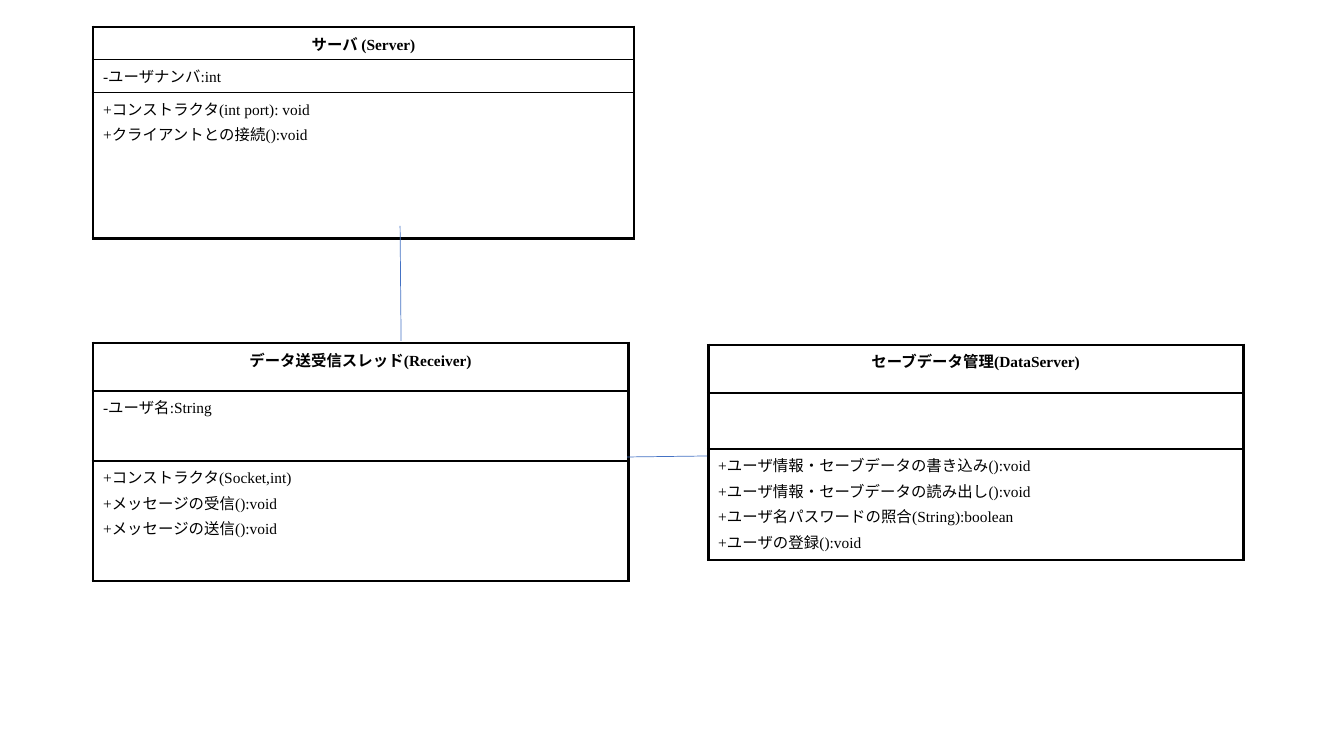
from lxml.etree import SubElement as Sub
from pptx import Presentation
from pptx.dml.color import RGBColor
from pptx.enum.shapes import MSO_CONNECTOR as Kind
from pptx.enum.text import PP_ALIGN as Align
from pptx.oxml.ns import qn
from pptx.util import Emu, Inches, Pt

SCALE = 914400 / 100.8
THICK, THIN = 2.25, 1
BLACK, BLUE = "000000", "4472C4"


def px(n):
    """Turn pixels into EMU."""
    return Emu(round(n * SCALE))


def color(code):
    """Turn a hex string into a colour."""
    return RGBColor.from_string(code)


def border(cell, top, bottom):
    """Draw thick sides and the given top and bottom edges on a cell."""
    props = cell._tc.get_or_add_tcPr()
    for tag, size in zip(("lnL", "lnR", "lnT", "lnB"), (THICK, THICK, top, bottom)):
        line = Sub(props, qn("a:" + tag), w=str(Pt(size)))
        fill = Sub(line, qn("a:solidFill"))
        Sub(fill, qn("a:srgbClr"), val=BLACK)


def write(cell, text, head):
    """Fill a cell with text, bold and centred if it is the head."""
    cell.text_frame.text = text
    for para in cell.text_frame.paragraphs:
        para.space_before = Pt(2.2)
        para.alignment = Align.CENTER if head else Align.LEFT
        for run in para.runs:
            font = run.font
            font.name, font.size, font.bold = "Times New Roman", Pt(11), head
            font.color.rgb = color(BLACK)


def add_class(slide, left, top, width, rows, base=THICK):
    """Add a class box from pairs of row height and text."""
    total = sum(high for high, _ in rows)
    frame = slide.shapes.add_table(len(rows), 1, px(left), px(top), px(width), px(total))
    table = frame.table
    table.first_row = table.horz_banding = False
    edges = [THICK] + [THIN] * (len(rows) - 1) + [base]
    for i, (high, text) in enumerate(rows):
        table.rows[i].height = px(high)
        cell = table.cell(i, 0)
        if text:
            write(cell, text, i == 0)
        border(cell, edges[i], edges[i + 1])
        cell.fill.background()


def link(slide, *ends):
    """Join two points with a thin blue line."""
    line = slide.shapes.add_connector(Kind.STRAIGHT, *map(px, ends))
    line.line.color.rgb = color(BLUE)
    line.line.width = Pt(0.5)
    Sub(line._element.spPr, qn("a:effectLst"))


def main():
    """Build the class diagram and save it."""
    deck = Presentation()
    deck.slide_width, deck.slide_height = Inches(13.33), Inches(7.5)
    slide = deck.slides.add_slide(deck.slide_layouts[6])
    add_class(slide, 708, 345, 535, [
        (48, "セーブデータ管理(DataServer)"),
        (56, ""),
        (111, "+ユーザ情報・セーブデータの書き込み():void\n"
              "+ユーザ情報・セーブデータの読み出し():void\n"
              "+ユーザ名パスワードの照合(String):boolean\n"
              "+ユーザの登録():void".replace("+", "+")),
    ], THIN)
    add_class(slide, 93, 27, 541, [
        (32, "サーバ (Server)"),
        (33, "-ユーザナンバ:int"),
        (146, "+コンストラクタ(int port): void\n+クライアントとの接続():void"),
    ])
    add_class(slide, 93, 343, 535, [
        (48, "データ送受信スレッド(Receiver)"),
        (70, "-ユーザ名:String"),
        (120, "+コンストラクタ(Socket,int)\n"
              "+メッセージの受信():void\n"
              "+メッセージの送信():void"),
    ])
    link(slide, 400, 226, 401, 341)
    link(slide, 627, 457, 707, 456)
    deck.save("out.pptx")


main()
